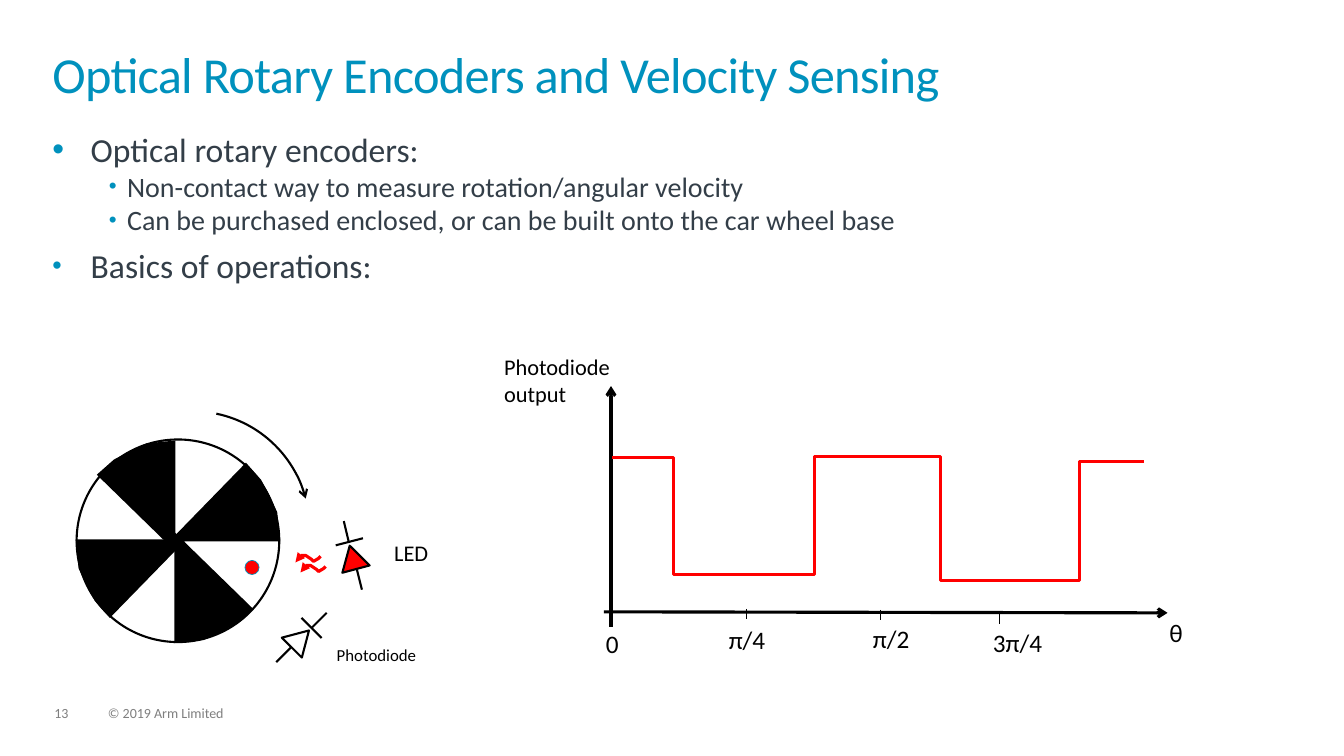
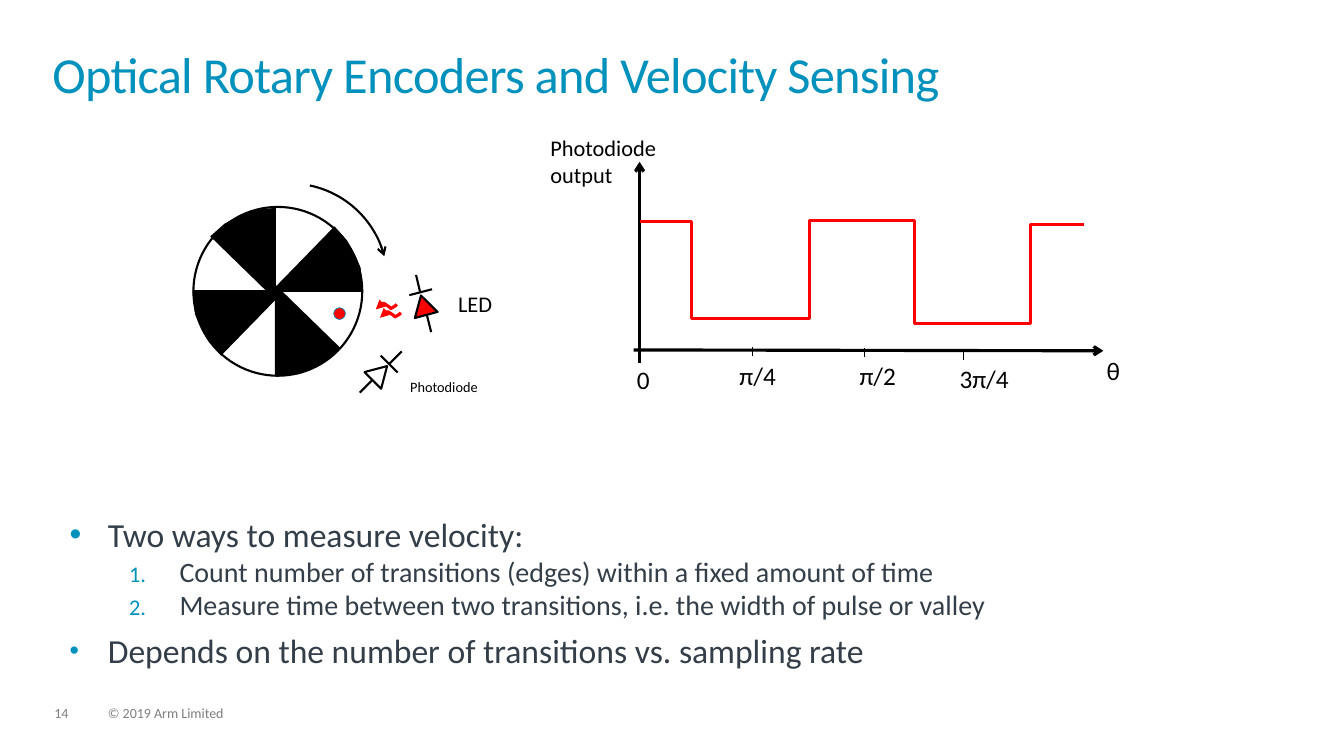
import dataclasses

import lxml.etree
import pptx
import pptx.dml.color
import pptx.enum.shapes
import pptx.enum.text
import pptx.oxml.ns
import pptx.util

RGB = pptx.dml.color.RGBColor
BLUE = RGB(0x00, 0x91, 0xBD)
SLATE = RGB(0x33, 0x3E, 0x48)
GREY = RGB(0x7F, 0x7F, 0x7F)
BLACK = RGB(0, 0, 0)
WHITE = RGB(255, 255, 255)
RED = RGB(255, 0, 0)
FONT = "Calibri"
WIDE, HIGH = 13.33, 7.5
TITLE = "Optical Rotary Encoders and Velocity Sensing"
FORMS = pptx.enum.shapes.MSO_SHAPE
Inch = pptx.util.Inches


@dataclasses.dataclass
class Box:
    """A region with its own origin and scale."""
    left: float
    top: float
    scale: float = 1

    def spot(self, x, y):
        """Turn a local point into slide lengths."""
        return Inch(self.left + x * self.scale), Inch(self.top + y * self.scale)

    def rect(self, x, y, wide, high):
        """Turn a local rectangle into slide lengths."""
        return *self.spot(x, y), Inch(wide * self.scale), Inch(high * self.scale)


PAGE = Box(0, 0)


def node(parent, tag, **attrs):
    """Append a drawing element."""
    return lxml.etree.SubElement(parent, pptx.oxml.ns.qn(tag), attrs)


def style(run, size, color):
    """Format a run."""
    run.font.name = FONT
    run.font.size = pptx.util.Pt(size)
    run.font.color.rgb = color


def write(shapes, rect, text, size, color=BLACK, inset=0):
    """Add a text box with one style."""
    box = shapes.add_textbox(*rect)
    frame = box.text_frame
    frame.word_wrap = True
    frame.margin_left = frame.margin_right = Inch(inset)
    frame.margin_top = frame.margin_bottom = Inch(inset / 2)
    frame.text = text
    for para in frame.paragraphs:
        for run in para.runs:
            style(run, size, color)
    return frame


def stroke(shape, color, width, end=None, kind="arrow"):
    """Set a line and its arrowhead."""
    shape.line.color.rgb = color
    shape.line.width = pptx.util.Pt(width)
    if end:
        node(shape.element.spPr.find(pptx.oxml.ns.qn("a:ln")), end, type=kind)


def paint(shape, fill=None, color=None, width=1.5, **head):
    """Set fill and line, without a shadow."""
    if fill is None:
        shape.fill.background()
    else:
        shape.fill.solid()
        shape.fill.fore_color.rgb = fill
    if color is None:
        shape.line.fill.background()
    else:
        stroke(shape, color, width, **head)
    shape.shadow.inherit = False
    return shape


def link(shapes, box, start, stop, width=1.5, **head):
    """Draw a straight black line."""
    line = shapes.add_connector(pptx.enum.shapes.MSO_CONNECTOR.STRAIGHT,
                                *box.spot(*start), *box.spot(*stop))
    stroke(line, BLACK, width, **head)
    node(line.element.spPr, "a:effectLst")


def trace(shapes, box, points, close=False):
    """Build an outline through local points."""
    spots = [box.spot(*point) for point in points]
    form = shapes.build_freeform(*spots[0])
    form.add_line_segments(spots[1:], close=close)
    return form.convert_to_shape()


def wheel(shapes, box):
    """Draw the striped disc and its turning arrow."""
    paint(shapes.add_shape(FORMS.OVAL, *box.rect(0.01, 0.28, 2.01, 2.01)), color=BLACK)
    wedge = [(0, 0), (0.76, -0.78), (0.91, -0.61), (0.99, -0.46), (1.07, -0.29), (1.1, 0)]
    for x, y in [(0.93, 1.29), (0.98, 1.2), (1.1, 1.27), (0.99, 1.39)]:
        paint(trace(shapes, box, [(x + a, y + b) for a, b in wedge], True), BLACK)
        wedge = [(-b, a) for a, b in wedge]
    turn = shapes.add_shape(FORMS.ARC, *box.rect(0, 0, 2.32, 2.32))
    turn.adjustments[0] = 169.034
    turn.adjustments[1] = 207.19
    paint(turn, color=BLACK, end="a:tailEnd")
    paint(shapes.add_shape(FORMS.OVAL, *box.rect(1.68, 1.48, 0.14, 0.14)), RED, BLUE, 0.5)


def diode(shapes, box, x, y, turn, fill, lines):
    """Draw one diode from a triangle and its lines."""
    body = shapes.add_shape(FORMS.ISOSCELES_TRIANGLE, *box.rect(x, y, 0.28, 0.24))
    body.rotation = turn
    paint(body, fill, BLACK)
    for start, stop in lines:
        link(shapes, box, start, stop)


def sensor(slide, box, small):
    """Draw the wheel, the diodes and the light between them."""
    shapes = slide.shapes.add_group_shape().shapes
    wheel(shapes, box)
    diode(shapes, box, 2.61, 1.33, 345, RED,
          [((2.79, 1.57), (2.84, 1.77)), ((2.66, 1.09), (2.71, 1.3)), ((2.85, 1.26), (2.58, 1.33))])
    diode(shapes, box, 2.09, 2.14, 45, WHITE,
          [((2.14, 2.34), (1.99, 2.49)), ((2.49, 2), (2.34, 2.15)), ((2.44, 2.25), (2.24, 2.05))])
    ray = [(2.18, 1.5), (2.2, 1.47), (2.21, 1.46), (2.23, 1.43), (2.28, 1.43),
           (2.31, 1.45), (2.34, 1.47), (2.36, 1.49), (2.41, 1.46), (2.43, 1.44)]
    for dx, dy in [(0, 0), (0.05, 0.1)]:
        wave = trace(shapes, box, [(x + dx, y + dy) for x, y in ray])
        paint(wave, color=RED, width=2.25, end="a:headEnd", kind="triangle")
    write(shapes, box.rect(3.16, 1.27, 0.84, 0.35), "LED", 16)
    write(shapes, box.rect(2.59, 2.32, 0.84, 0.35), "Photodiode", small)


def graph(slide, box):
    """Draw the diode output against the angle."""
    shapes = slide.shapes.add_group_shape().shapes
    for start, stop in [((1.06, 2.72), (1.06, 0.33)), ((0.99, 2.57), (6.58, 2.58))]:
        link(shapes, box, start, stop, 2.25, end="a:tailEnd")
    for x, y in [(2.4, 2.54), (3.73, 2.55), (4.91, 2.59)]:
        link(shapes, box, (x, y), (x, y + 0.1), 0.5)
    for text, x, y in [("π/4", 2.13, 2.64), ("π/2", 3.56, 2.63), ("0", 0.91, 2.68),
                       ("θ", 6.5, 2.58), ("3π/4", 4.75, 2.67)]:
        write(shapes, box.rect(x, y, 1.02, 0.4), text, 18, inset=0.1)
    write(shapes, box.rect(0, 0, 1.42, 0.58), "Photodiode\noutput", 16)
    edges = [1.07, 1.68, 3.08, 4.33, 5.71, 6.35]
    levels = [1.04, 2.2, 1.03, 2.26, 1.08]
    pulse = [(x, y) for left, right, y in zip(edges, edges[1:], levels) for x in (left, right)]
    paint(trace(shapes, box, pulse), color=RED, width=2.25)


def bullet(para, left, hang, share, number):
    """Give a paragraph a blue bullet or number."""
    props = para._p.get_or_add_pPr()
    props.set("marL", str(Inch(left)))
    props.set("indent", str(-Inch(hang)))
    node(node(props, "a:buClr"), "a:srgbClr", val=str(BLUE))
    node(props, "a:buSzPct", val=str(share * 1000))
    if number:
        node(props, "a:buAutoNum", type="arabicPeriod")
    else:
        node(props, "a:buFont", typeface="Arial")
        node(props, "a:buChar", char="•")


def points(slide, box, high, items, number=False):
    """List main points, with the middle ones one level down."""
    frame = write(slide.shapes, box.rect(0, 0, 12.28, high), "\n".join(items), 24, SLATE)
    paras = frame.paragraphs
    for para in paras[1:-1]:
        para.level = 1
        bullet(para, *((1.09, 0.5) if number else (0.74, 0.18)), 80, number)
        style(para.runs[0], 20, SLATE)
    bullet(paras[0], 0.38, 0.38, 100, False)
    bullet(paras[-1], 0.38, 0.38, 80, False)
    paras[-1].space_before = pptx.util.Pt(6)


def start(deck, number):
    """Add a slide with its title and footer."""
    slide = deck.slides.add_slide(deck.slide_layouts[5])
    title = slide.shapes.title
    title.left, title.top, title.width, title.height = PAGE.rect(0.52, 0.52, 12.28, 0.72)
    frame = title.text_frame
    frame.text = TITLE
    frame.auto_size = pptx.enum.text.MSO_AUTO_SIZE.NONE
    frame.vertical_anchor = pptx.enum.text.MSO_ANCHOR.TOP
    frame.margin_left = frame.margin_right = frame.margin_top = frame.margin_bottom = 0
    para = frame.paragraphs[0]
    para.alignment = pptx.enum.text.PP_ALIGN.LEFT
    para.line_spacing = 0.85
    style(para.runs[0], 36, BLUE)
    para.runs[0].font._element.set("spc", "-50")
    for x, wide, text in [(0.54, 0.34, str(number)), (1.07, 1.71, "© 2019 Arm Limited")]:
        foot = write(slide.shapes, PAGE.rect(x, 7.01, wide, 0.15), text, 10, GREY)
        foot.paragraphs[0].line_spacing = 0.9
    return slide


def main():
    """Build and save both slides."""
    deck = pptx.Presentation()
    deck.slide_width, deck.slide_height = Inch(WIDE), Inch(HIGH)

    slide = start(deck, 13)
    points(slide, Box(0.52, 1.28), 4.47, [
        "Optical rotary encoders:",
        "Non-contact way to measure rotation/angular velocity",
        "Can be purchased enclosed, or can be built onto the car wheel base",
        "Basics of operations:"])
    sensor(slide, Box(0.75, 4.08), 12)
    graph(slide, Box(5, 3.5))

    slide = start(deck, 14)
    points(slide, Box(0.69, 5.1), 1.7, [
        "Two ways to measure velocity:",
        "Count number of transitions (edges) within a fixed amount of time",
        "Measure time between two transitions, i.e. the width of pulse or valley",
        "Depends on the number of transitions vs. sampling rate"], number=True)
    sensor(slide, Box(1.91, 1.82, 5 / 6), 10.2)
    graph(slide, Box(5.46, 1.33, 5 / 6))

    deck.save("out.pptx")


if __name__ == "__main__":
    main()
